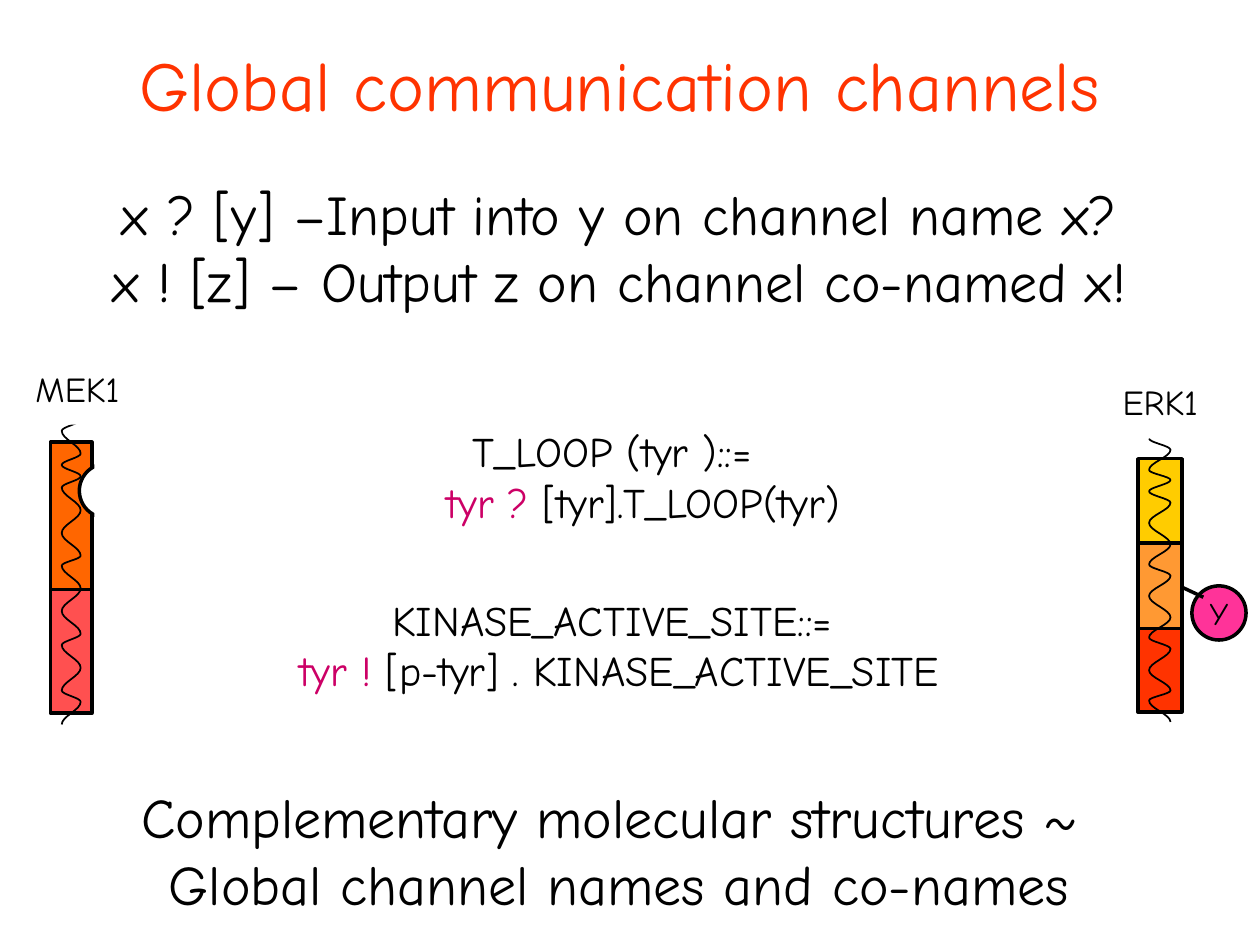
import math
import pptx
import pptx.util
import pptx.dml.color
import pptx.enum.shapes
import pptx.enum.text
import pptx.oxml.ns
import lxml.etree

Inches = pptx.util.Inches
Pt = pptx.util.Pt
KIND = pptx.enum.shapes.MSO_SHAPE
HUES = {
    "title": "FF3300", "ink": "000000", "paper": "FFFFFF", "name": "CC0066",
    "red": "FF3300", "gold": "FFCC00", "peach": "FF9933", "pink": "FF3399",
    "rose": "FF5050", "orange": "FF6600",
}


def hue(name):
    return pptx.dml.color.RGBColor.from_string(HUES[name])


def apply(item, values):
    for key, value in values.items():
        setattr(item, key, value)


def write(shape, parts, size, before=0, wrap=True, middle=True, side=0.1):
    anchor = pptx.enum.text.MSO_ANCHOR
    frame = shape.text_frame
    apply(frame, {
        "word_wrap": wrap,
        "vertical_anchor": anchor.MIDDLE if middle else anchor.TOP,
        "margin_left": Inches(side), "margin_right": Inches(side),
        "margin_top": Inches(0.05), "margin_bottom": Inches(0.05),
    })
    para = frame.paragraphs[0]
    apply(para, {"alignment": pptx.enum.text.PP_ALIGN.CENTER,
                 "space_before": Pt(before)})
    for text, color in parts:
        if text == "\n":
            para.add_line_break()
            continue
        run = para.add_run()
        run.text = text
        apply(run.font, {"size": Pt(size), "name": "Comic Neue"})
        run.font.color.rgb = hue(color)
    return para


def label(slide, box, parts, size, before, **look):
    shape = slide.shapes.add_textbox(*map(Inches, box))
    return write(shape, parts, size, before, **look)


def block(slide, box, fill, kind=KIND.RECTANGLE, edge=True):
    shape = slide.shapes.add_shape(kind, *map(Inches, box))
    shape.shadow.inherit = False
    shape.fill.solid()
    shape.fill.fore_color.rgb = hue(fill)
    if edge:
        shape.line.color.rgb = hue("ink")
        shape.line.width = Pt(2)
    else:
        shape.line.fill.background()
    return shape


def wave(slide, left, top, width, turns, side):
    points = []
    steps = 8
    for start, end in zip(turns, turns[1:]):
        for step in range(steps):
            part = step / steps
            swing = (1 - math.cos(math.pi * part)) / 2
            across = side + (1 - 2 * side) * swing
            points.append((Inches(left + width * across),
                           Inches(top + start + (end - start) * part)))
        side = 1 - side
    points.append((Inches(left + width * side), Inches(top + turns[-1])))
    path = slide.shapes.build_freeform(*points[0])
    path.add_line_segments(points[1:], close=False)
    shape = path.convert_to_shape()
    shape.shadow.inherit = False
    shape.fill.background()
    shape.line.color.rgb = hue("ink")
    shape.line.width = Pt(1)


def stem(slide, left, top, right, low):
    line = slide.shapes.add_connector(
        pptx.enum.shapes.MSO_CONNECTOR.STRAIGHT,
        *map(Inches, (left, top, right, low)))
    line.line.color.rgb = hue("ink")
    line.line.width = Pt(2)
    props = line._element.spPr
    lxml.etree.SubElement(props, pptx.oxml.ns.qn("a:effectLst"))


def erk(slide, left, top):
    for color, down in (("red", 2.07), ("gold", 0.74), ("peach", 1.41)):
        block(slide, (left + 0.32, top + down, 0.35, 0.68), color)
    turns = [0, 0.09, 0.25, 0.33, 0.42, 0.51, 0.67, 0.84, 1, 1.09, 1.25,
             1.42, 1.58, 1.67, 1.84, 2, 2.08, 2.25]
    wave(slide, left + 0.41, top + 0.58, 0.17, turns, 0)
    tag = block(slide, (left, top, 1, 0.58), "paper", edge=False)
    write(tag, [("ERK1", "ink")], 20, 12.5, wrap=False)
    ball = block(slide, (left + 0.75, top + 1.75, 0.43, 0.43), "pink",
                 KIND.OVAL)
    write(ball, [("Y", "ink")], 18, 11.2, wrap=False)
    stem(slide, left + 0.67, top + 1.76, left + 0.84, top + 1.84)


def mek(slide, left, top):
    for color, down, high in (("rose", 1.89, 0.98), ("orange", 0.72, 1.17)):
        block(slide, (left + 0.16, top + down, 0.33, high), color)
    turns = [0, 0.09, 0.27, 0.36, 0.45, 0.54, 0.72, 0.9, 1.08, 1.16, 1.34,
             1.52, 1.7, 1.79, 1.97, 2.15, 2.24, 2.42]
    wave(slide, left + 0.25, top + 0.54, 0.15, turns, 1)
    tag = block(slide, (left, top, 0.75, 0.58), "paper", edge=False)
    write(tag, [("MEK1", "ink")], 20, 12.5, wrap=False)
    block(slide, (left + 0.39, top + 0.89, 0.43, 0.43), "paper", KIND.OVAL)
    block(slide, (left + 0.51, top + 0.79, 0.5, 0.58), "paper", edge=False)


def head(slide, box):
    title = slide.shapes.title
    apply(title, dict(zip(("left", "top", "width", "height"),
                          map(Inches, box))))
    write(title, [("Global communication channels", "title")], 40)


def rules(slide, left, top):
    loop = label(slide, (left + 0.79, top, 4.67, 1), [
        ("T_LOOP (tyr )::= ", "ink"), ("\n", "ink"), ("tyr ?", "name"),
        (" [tyr].T_LOOP(tyr)", "ink")], 24, 15, middle=False)
    props = loop._p.get_or_add_pPr()
    for key, size in (("marL", 0.38), ("indent", -0.38)):
        props.set(key, str(int(Inches(size))))
    label(slide, (left, top + 1.34, 6.25, 0.83), [
        ("KINASE_ACTIVE_SITE::= ", "ink"), ("\n", "ink"), ("tyr !", "name"),
        (" [p-tyr] . KINASE_ACTIVE_SITE", "ink")], 24, 15, middle=False)


def main():
    deck = pptx.Presentation()
    apply(deck, {"slide_width": Inches(10), "slide_height": Inches(7.5)})
    slide = deck.slides.add_slide(deck.slide_layouts[5])
    head(slide, (0, 0, 9.83, 1.33))
    label(slide, (0.87, 1.17, 8.1, 1.58), [
        ("x ? [y] –Input into y on channel name x?", "ink"), ("\n", "ink"),
        ("x ! [z] – Output z on channel co-named x!", "ink")],
        32, 20, wrap=False, side=0)
    rules(slide, 1.79, 3.33)
    label(slide, (1.01, 6.16, 7.81, 1.17), [
        ("Complementary molecular structures ~ ", "ink"), ("\n", "ink"),
        ("Global channel names and co-names", "ink")],
        32, 20, wrap=False, middle=False)
    erk(slide, 8.71, 2.9)
    mek(slide, 0.24, 2.79)
    deck.save("out.pptx")


main()
